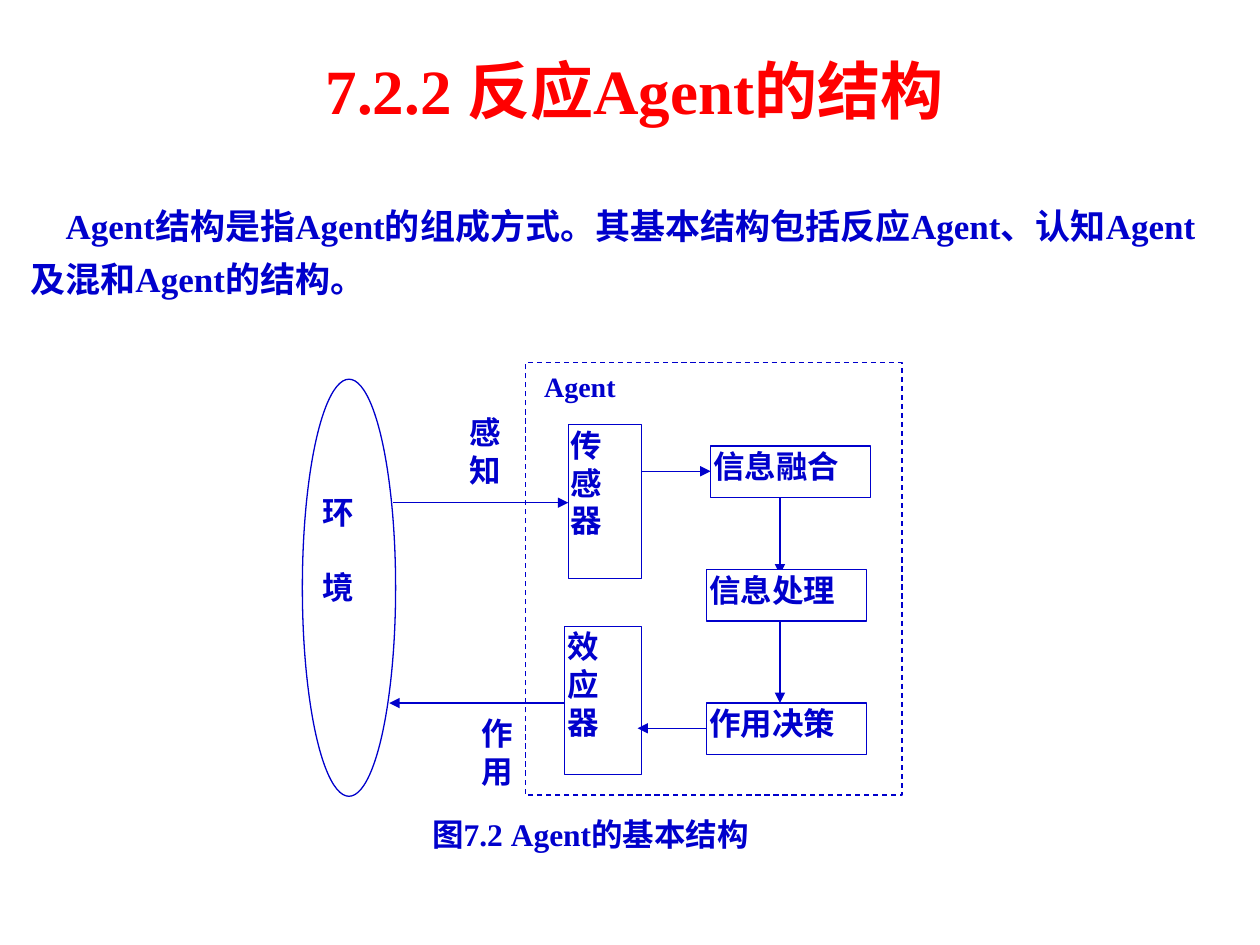
from lxml import etree
from pptx import Presentation
from pptx.dml.color import RGBColor
from pptx.enum import dml, shapes, text
from pptx.oxml import ns
from pptx.util import Inches, Pt

COLORS = {"title": "FF0000", "ink": "0000CC", "paper": "FFFFFF"}
FONT = "Times New Roman"


def rgb(name):
    return RGBColor.from_string(COLORS[name])


def write_text(shape, content, size=18, color="ink", align=text.PP_ALIGN.JUSTIFY,
               insets=(0.02, 0.01), left_inset=None, spacing=1.0, gap=0, indent=0):
    """Fill a shape with one paragraph per line of content."""
    frame = shape.text_frame
    frame.word_wrap = True
    frame.auto_size = text.MSO_AUTO_SIZE.NONE
    frame.vertical_anchor = text.MSO_ANCHOR.TOP
    side, top = insets
    frame.margin_left = Inches(side if left_inset is None else left_inset)
    frame.margin_right = Inches(side)
    frame.margin_top = frame.margin_bottom = Inches(top)
    for number, line in enumerate(content.split("\n")):
        paragraph = frame.paragraphs[0] if number == 0 else frame.add_paragraph()
        paragraph.alignment = align
        paragraph.line_spacing = spacing
        paragraph.space_before = Pt(gap if number else 0)
        if indent:
            properties = paragraph._p.get_or_add_pPr()
            properties.set("marL", "0")
            properties.set("indent", str(Inches(indent)))
            etree.SubElement(properties, ns.qn("a:buNone"))
        run = paragraph.add_run()
        run.text = line
        run.font.name = FONT
        run.font.size = Pt(size)
        run.font.bold = True
        run.font.color.rgb = rgb(color)


class Diagram:
    """Holds the current slide and the line style of its elements."""

    def __init__(self, slide, line_width=0.75):
        self.slide = slide
        self.line_width = Pt(line_width)

    def placeholder(self, index, content, left, top, width, height, **style):
        shape = self.slide.placeholders[index]
        shape.left, shape.top = Inches(left), Inches(top)
        shape.width, shape.height = Inches(width), Inches(height)
        write_text(shape, content, insets=(0.1, 0.05), **style)

    def outline(self, line):
        line.color.rgb = rgb("ink")
        line.width = self.line_width

    def box(self, left, top, width, height, content="", kind="RECTANGLE",
            outlined=True, dashed=False, **style):
        shape = self.slide.shapes.add_shape(
            getattr(shapes.MSO_SHAPE, kind),
            Inches(left), Inches(top), Inches(width), Inches(height))
        shape.shadow.inherit = False
        shape.fill.solid()
        shape.fill.fore_color.rgb = rgb("paper")
        if outlined:
            self.outline(shape.line)
        else:
            shape.line.fill.background()
        if dashed:
            shape.line.dash_style = dml.MSO_LINE.DASH
        if content:
            write_text(shape, content, **style)

    def label(self, left, top, width, height, content, **style):
        self.box(left, top, width, height, content, outlined=False, **style)

    def arrow(self, x1, y1, x2, y2):
        connector = self.slide.shapes.add_connector(
            shapes.MSO_CONNECTOR.STRAIGHT,
            Inches(x1), Inches(y1), Inches(x2), Inches(y2))
        self.outline(connector.line)
        etree.SubElement(connector.line._get_or_add_ln(), ns.qn("a:tailEnd"), type="triangle")
        etree.SubElement(connector._element.spPr, ns.qn("a:effectLst"))


def main():
    presentation = Presentation()
    presentation.slide_width, presentation.slide_height = Inches(10), Inches(7.5)
    slide = presentation.slides.add_slide(presentation.slide_layouts[1])
    diagram = Diagram(slide)

    # Title and introduction
    diagram.placeholder(0, "7.2.2 反应Agent的结构", 0.35, 0.36, 9.37, 0.7,
                        size=36, color="title", align=text.PP_ALIGN.CENTER)
    diagram.placeholder(1, "Agent结构是指Agent的组成方式。其基本结构包括反应Agent、"
                        "认知Agent及混和Agent的结构。", 0.14, 1.49, 9.61, 0.94,
                        size=20, align=text.PP_ALIGN.LEFT, spacing=1.25, indent=0.28)

    # Environment
    diagram.box(2.4, 3.01, 0.74, 3.31, kind="OVAL")
    diagram.label(2.5, 3.9, 0.44, 1.31, "环\n境", insets=(0.06, 0.01), gap=21.7)

    # Agent frame
    diagram.box(4.17, 2.88, 2.99, 3.43, dashed=True)
    diagram.label(4.26, 2.92, 0.97, 0.41, "Agent", size=16, insets=(0.06, 0.01))

    # Sensor and effector
    diagram.box(4.51, 3.37, 0.58, 1.22, "传\n感\n器")
    diagram.box(4.48, 4.97, 0.61, 1.18, "效\n应\n器")

    # Perception and action labels, one character a line
    for left, top, height, content in [(3.17, 3.27, 0.63, "感知"), (3.26, 5.66, 0.41, "作用")]:
        diagram.label(left, top, 0.8, height, content, insets=(0.06, 0.01), left_inset=0.56)

    # Arrows, with the steps drawn over their ends
    for ends in [(3.12, 3.99, 4.51, 3.99), (4.48, 5.58, 3.09, 5.58),
                 (6.19, 3.94, 6.19, 4.56), (6.19, 4.93, 6.19, 5.58)]:
        diagram.arrow(*ends)
    for left, top, content in [(5.64, 3.54, "信息融合"), (5.61, 4.52, "信息处理"),
                               (5.61, 5.58, "作用决策")]:
        diagram.box(left, top, 1.27, 0.41, content)
    diagram.arrow(5.09, 3.74, 5.64, 3.74)
    diagram.arrow(5.61, 5.78, 5.06, 5.78)

    # Caption
    diagram.label(3.41, 6.46, 3.07, 0.31, "图7.2 Agent的基本结构")

    presentation.save("out.pptx")


if __name__ == "__main__":
    main()
